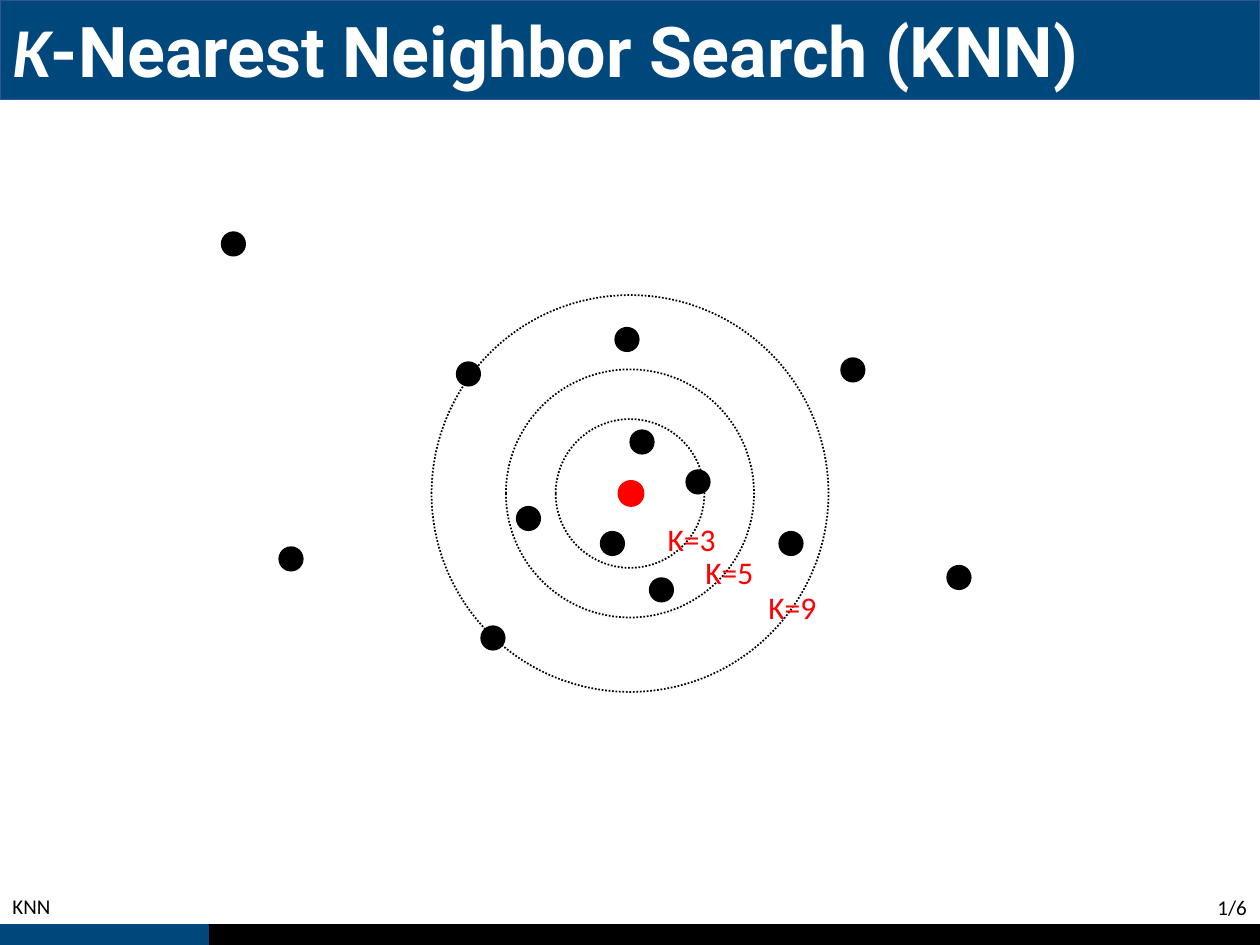
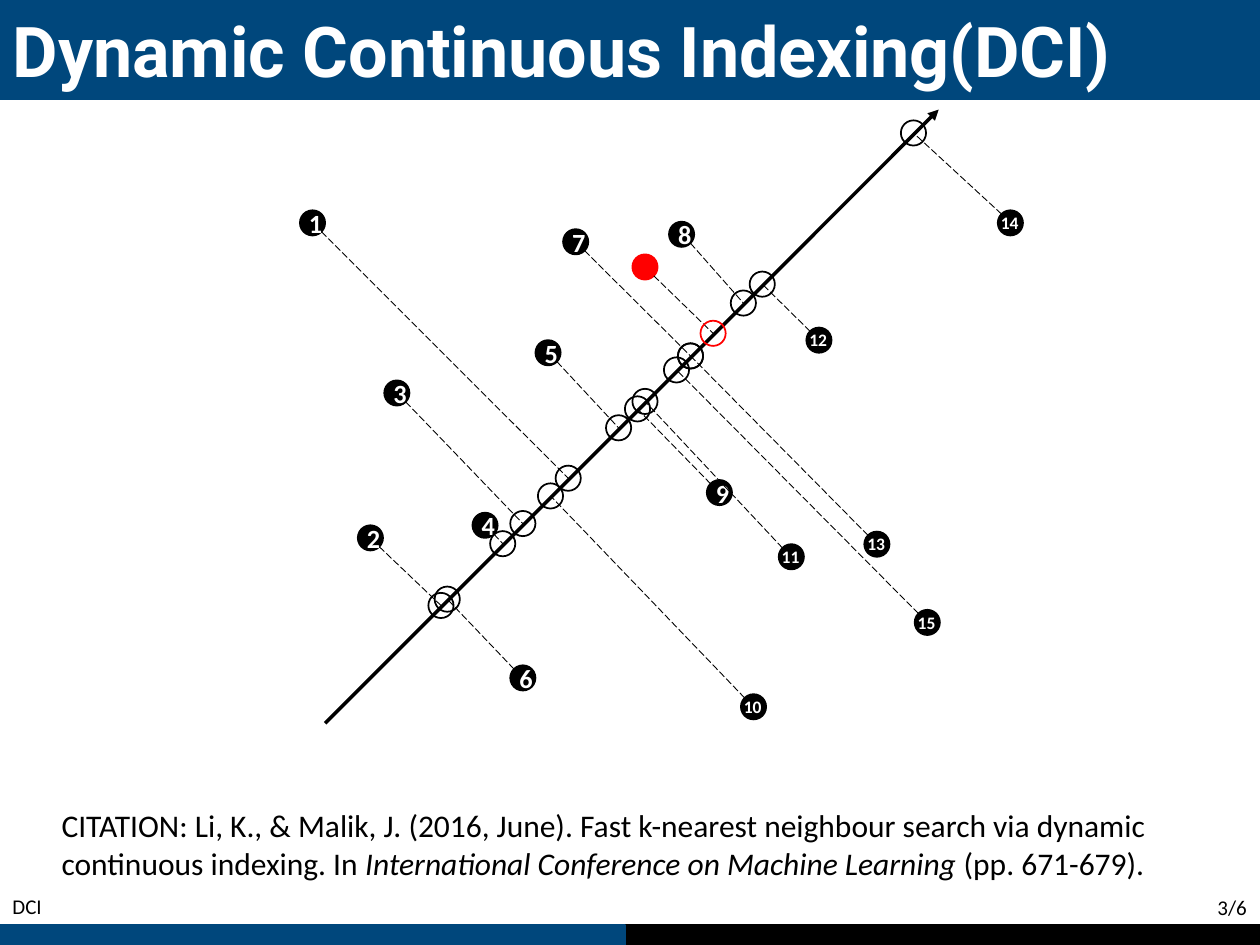
from dataclasses import dataclass

from lxml import etree
from pptx import Presentation
from pptx.dml.color import RGBColor
from pptx.enum.dml import MSO_LINE
from pptx.enum.shapes import MSO_CONNECTOR, MSO_SHAPE
from pptx.enum.text import MSO_ANCHOR, MSO_AUTO_SIZE, PP_ALIGN
from pptx.oxml.ns import qn
from pptx.util import Pt

RECT, OVAL = MSO_SHAPE.RECTANGLE, MSO_SHAPE.OVAL
STRAIGHT = MSO_CONNECTOR.STRAIGHT
DOTTED, DASHED = MSO_LINE.ROUND_DOT, MSO_LINE.LONG_DASH
LEFT, CENTER, RIGHT = PP_ALIGN.LEFT, PP_ALIGN.CENTER, PP_ALIGN.RIGHT
MIDDLE = MSO_ANCHOR.MIDDLE
NO_AUTOFIT = MSO_AUTO_SIZE.NONE


@dataclass(frozen=True)
class Theme:
    blue: RGBColor = RGBColor(0x00, 0x47, 0x7C)
    border: RGBColor = RGBColor(0x32, 0x54, 0x91)
    black: RGBColor = RGBColor(0x00, 0x00, 0x00)
    white: RGBColor = RGBColor(0xFF, 0xFF, 0xFF)
    red: RGBColor = RGBColor(0xFF, 0x00, 0x00)
    body_font: str = "Calibri"
    title_font: str = "Roboto"
    title: int = 40
    body: int = 18
    digit: int = 15
    footer: int = 12
    number: int = 10


T = Theme()
WIDTH, HEIGHT = 720, 540
BAND_TOP, BAND_HEIGHT = 528.5, 11.5
PROGRESS_STEP = 119
PAGE_COUNT = 6
DOT = 14.4
DOT_EDGE = 5

RING_CENTER = (360, 282)
RINGS = [
    ("K=3", 85, 374.4, 293.8),
    ("K=5", 141.8, 396, 312.5),
    ("K=9", 226.8, 432, 332.6),
]
NEIGHBORS = [
    (398.9, 275.4), (302, 296.3), (378, 337.1), (358.3, 194), (366.9, 252.6),
    (267.7, 213.7), (281.7, 364.6), (133.4, 139.4), (487.4, 211.4),
    (166.3, 319.4), (452, 310.6), (548, 330), (350, 310.6),
]
QUERY = (360.6, 282)

AXIS_START, AXIS_END = (185.8, 413.3), (536.4, 62.6)
AXIS_SUM = 598
INDEXED_POINTS = [
    ("1", 178.6, 127.4, 324.7),
    ("2", 211.7, 307.4, 252),
    ("3", 226.8, 224.6, 298.8),
    ("4", 277.2, 300.2, 287.3),
    ("5", 313.2, 201.6, 353.5),
    ("6", 298.8, 387.4, 255.6),
    ("7", 329, 138.2, 394.6),
    ("8", 389.5, 133.9, 424.8),
    ("9", 411.1, 281.5, 364.3),
    ("10", 430.6, 403.9, 314.6),
    ("11", 452.2, 318.2, 368.6),
    ("12", 468, 194.4, 435.6),
    ("13", 501.1, 311, 394.6),
    ("14", 577.4, 127.4, 522),
    ("15", 529.9, 355.7, 386.6),
    ("", 368.6, 152.6, 407.5),
]
CITATION = [
    ("CITATION: Li, K., & Malik, J. (2016, June). Fast k-nearest neighbour "
     "search via dynamic continuous indexing. In ", False),
    ("International Conference on Machine Learning", True),
    (" (pp. 671-679).", False),
]


def add_run(p, text, size, color, font=T.body_font, bold=False, italic=False):
    r = p.add_run()
    r.text = text
    r.font.size = Pt(size)
    r.font.name = font
    r.font.bold = bold
    r.font.italic = italic
    r.font.color.rgb = color


def paint(sp, fill=None, line=None):
    if fill is None:
        sp.fill.background()
    else:
        sp.fill.solid()
        sp.fill.fore_color.rgb = fill
    if line is None:
        sp.line.fill.background()
    else:
        sp.line.color.rgb = line
        sp.line.width = Pt(1)


def add_preset(slide, kind, left, top, width, height, fill=None, line=None):
    sp = slide.shapes.add_shape(kind, Pt(left), Pt(top), Pt(width), Pt(height))
    sp.shadow.inherit = False
    paint(sp, fill, line)
    return sp


def add_circle(slide, center, diameter=DOT, fill=None, line=None):
    x, y = center
    return add_preset(slide, OVAL, x - diameter / 2, y - diameter / 2,
                      diameter, diameter, fill, line)


def add_text(slide, left, top, width, height, wrap=True, align=LEFT):
    sp = slide.shapes.add_textbox(Pt(left), Pt(top), Pt(width), Pt(height))
    tf = sp.text_frame
    tf.word_wrap = wrap
    p = tf.paragraphs[0]
    p.alignment = align
    return p


def add_line(slide, start, end, width, dash=None, arrow=False):
    c = slide.shapes.add_connector(STRAIGHT, *map(Pt, start + end))
    c.line.color.rgb = T.black
    c.line.width = Pt(width)
    if dash is not None:
        c.line.dash_style = dash
    sp_pr = c.element.spPr
    if arrow:
        etree.SubElement(sp_pr.find(qn("a:ln")), qn("a:tailEnd"), type="triangle")
    etree.SubElement(sp_pr, qn("a:effectLst"))


def add_title(slide, runs, border):
    sp = slide.shapes.title
    sp.left, sp.top, sp.width, sp.height = Pt(0), Pt(0), Pt(WIDTH), Pt(56.9)
    paint(sp, T.blue, border)
    tf = sp.text_frame
    tf.auto_size = NO_AUTOFIT
    tf.vertical_anchor = MIDDLE
    p = tf.paragraphs[0]
    p.alignment = LEFT
    for text, font, italic in runs:
        add_run(p, text, T.title, T.white, font, True, italic)


def add_footer(slide, section, page):
    for width, color in ((WIDTH, T.black), (page * PROGRESS_STEP, T.blue)):
        add_preset(slide, RECT, 0, BAND_TOP, width, BAND_HEIGHT, color, color)
    p = add_text(slide, 634.5, 507.6, 85, 21.6, align=RIGHT)
    add_run(p, f"{page}/{PAGE_COUNT}", T.footer, T.black)
    p = add_text(slide, 0, 506.9, 226.8, 21.6)
    add_run(p, section, T.footer, T.black)


def add_slide(prs, title_runs, border, section, page):
    slide = prs.slides.add_slide(prs.slide_layouts[5])
    add_title(slide, title_runs, border)
    add_footer(slide, section, page)
    return slide


def add_indexed_dot(slide, label, center, color):
    sp = add_circle(slide, center, fill=color, line=color)
    if len(label) == 1:
        p = sp.text_frame.paragraphs[0]
        p.alignment = CENTER
        add_run(p, label, T.digit, T.white, bold=True)
    elif label:
        width, height = 25.2, 19.4
        p = add_text(slide, center[0] - width / 2, center[1] - height / 2,
                     width, height, wrap=False)
        add_run(p, label, T.number, T.white, bold=True)


def add_projection(slide, center, foot):
    x, y = center
    step = DOT_EDGE if x < foot[0] else -DOT_EDGE
    add_line(slide, (x + step, y + step), foot, 0.5, DASHED)


def build_neighbor_search(prs):
    title = [("K", T.body_font, True),
             ("-Nearest Neighbor Search (KNN)", T.title_font, False)]
    slide = add_slide(prs, title, T.border, "KNN", 1)
    for _, diameter, _, _ in RINGS:
        ring = add_circle(slide, RING_CENTER, diameter, line=T.black)
        ring.line.dash_style = DOTTED
    for center in NEIGHBORS:
        add_circle(slide, center, fill=T.black)
    add_circle(slide, QUERY, fill=T.red, line=T.red)
    for label, _, left, top in RINGS:
        p = add_text(slide, left, top, 42.5, 28.6, wrap=False)
        add_run(p, label, T.body, T.red)


def build_continuous_indexing(prs):
    title = [("Dynamic Continuous Indexing(DCI)", T.title_font, False)]
    slide = add_slide(prs, title, T.blue, "DCI", 3)
    p = add_text(slide, 28.1, 457.2, 690.5, 51.1)
    for text, italic in CITATION:
        add_run(p, text, T.body, T.black, italic=italic)

    points = [(label, (x, y), (foot_x, AXIS_SUM - foot_x),
               T.black if label else T.red)
              for label, x, y, foot_x in INDEXED_POINTS]
    for label, center, _, color in points:
        add_indexed_dot(slide, label, center, color)
    add_line(slide, AXIS_START, AXIS_END, 2, arrow=True)
    for _, center, foot, _ in points:
        add_projection(slide, center, foot)
    for _, _, foot, color in points:
        add_circle(slide, foot, line=color)


def main():
    prs = Presentation()
    prs.slide_width, prs.slide_height = Pt(WIDTH), Pt(HEIGHT)
    build_neighbor_search(prs)
    build_continuous_indexing(prs)
    prs.save("out.pptx")


if __name__ == "__main__":
    main()
